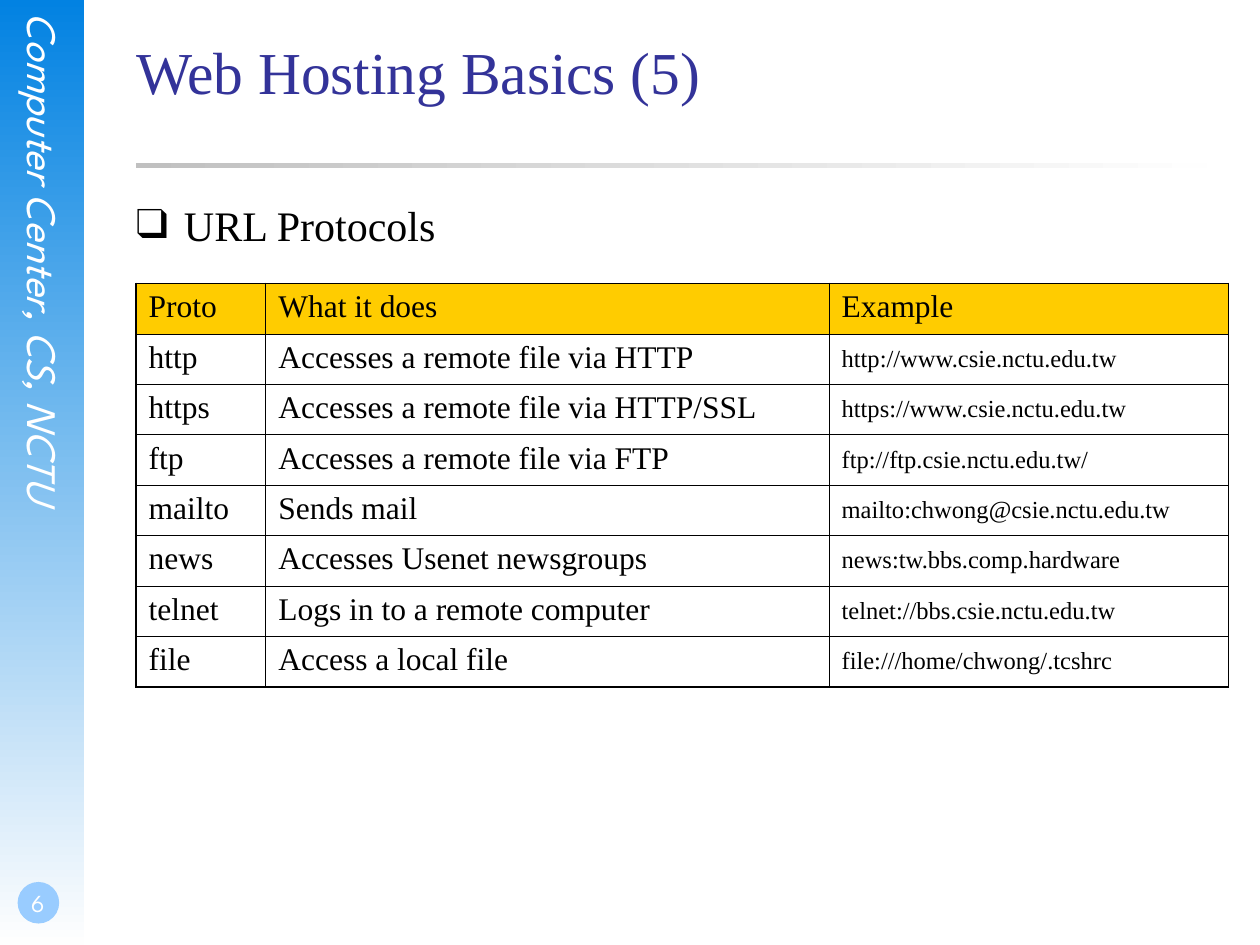
from lxml.etree import SubElement
from pptx import Presentation
from pptx.dml.color import RGBColor
from pptx.enum.shapes import MSO_SHAPE as Shape
from pptx.enum.text import MSO_ANCHOR as Anchor, MSO_AUTO_SIZE as AutoSize, PP_ALIGN as Align
from pptx.oxml.ns import qn
from pptx.util import Inches, Pt

TITLE = "Web Hosting Basics (5)"
BULLET = "URL Protocols"
SIDE_LABEL = "Computer Center, CS, NCTU"
PAGE_NUMBER = "6"
PROTOCOLS = [
    ("Proto", "What it does", "Example"),
    ("http", "Accesses a remote file via HTTP", "http://www.csie.nctu.edu.tw"),
    ("https", "Accesses a remote file via HTTP/SSL", "https://www.csie.nctu.edu.tw"),
    ("ftp", "Accesses a remote file via FTP", "ftp://ftp.csie.nctu.edu.tw/"),
    ("mailto", "Sends mail", "mailto:chwong@csie.nctu.edu.tw"),
    ("news", "Accesses Usenet newsgroups", "news:tw.bbs.comp.hardware"),
    ("telnet", "Logs in to a remote computer", "telnet://bbs.csie.nctu.edu.tw"),
    ("file", "Access a local file", "file:///home/chwong/.tcshrc"),
]
COLUMN_WIDTHS = (1.03, 4.47, 3.17)
ROW_HEIGHT = 0.4
LEFT, CONTENT_WIDTH = 1.08, 8.5
OUTER_LINE, INNER_LINE = 1.08, 0.45
SERIF, SANS = "Times New Roman", "League Spartan"
COLORS = {
    "black": "000000", "white": "FFFFFF", "title": "333399", "header": "FFCC00",
    "badge": "99CCFF", "rail": "0282E2", "fade": "FEFEFE", "rule": "C0C0C0",
}


def rgb(name):
    """Return the named colour."""
    return RGBColor.from_string(COLORS[name])


def write(text_frame, text, size, font_name, color, align=Align.LEFT):
    """Fill a text frame with one formatted paragraph."""
    text_frame.text = text
    paragraph = text_frame.paragraphs[0]
    paragraph.alignment = align
    paragraph.space_before = Pt(0)
    font = paragraph.runs[0].font
    font.size, font.name, font.color.rgb = Pt(size), font_name, rgb(color)
    return paragraph


def set_frame(text_frame, anchor=Anchor.TOP, margins=(0, 0, 0, 0), wrap=True):
    """Set the margins, anchor and wrapping of a text frame."""
    (text_frame.margin_left, text_frame.margin_top,
     text_frame.margin_right, text_frame.margin_bottom) = map(Inches, margins)
    text_frame.vertical_anchor = anchor
    text_frame.word_wrap = wrap
    text_frame.auto_size = AutoSize.NONE if wrap else AutoSize.SHAPE_TO_FIT_TEXT


def place(shape, *box):
    """Move and size a shape in inches."""
    shape.left, shape.top, shape.width, shape.height = map(Inches, box)


def add_plain_shape(slide, kind, box, colors, angle=0):
    """Add an unlined shape with a solid or two-colour gradient fill."""
    shape = slide.shapes.add_shape(kind, *map(Inches, box))
    shape.shadow.inherit = False
    shape.line.fill.background()
    if len(colors) == 1:
        shape.fill.solid()
        shape.fill.fore_color.rgb = rgb(colors[0])
    else:
        shape.fill.gradient()
        shape.fill.gradient_angle = angle
        for stop, position, color in zip(shape.fill.gradient_stops, (0, 1), colors):
            stop.position = position
            stop.color.rgb = rgb(color)


def set_borders(cell, row, column):
    """Draw heavy lines on the table's outline and thin ones inside."""
    outer_sides = {
        "a:lnL": column == 0, "a:lnR": column == len(COLUMN_WIDTHS) - 1,
        "a:lnT": row == 0, "a:lnB": row == len(PROTOCOLS) - 1,
    }
    properties = cell._tc.get_or_add_tcPr()
    for index, (tag, is_outer) in enumerate(outer_sides.items()):
        width = Pt(OUTER_LINE if is_outer else INNER_LINE)
        line = SubElement(properties, qn(tag), w=str(width))
        fill = SubElement(line, qn("a:solidFill"))
        SubElement(fill, qn("a:srgbClr"), val=COLORS["black"])
        properties.insert(index, line)


def add_rail(slide):
    """Add the side rail with its label and page number."""
    add_plain_shape(slide, Shape.RECTANGLE, (0, 0, 0.67, 7.5), ("rail", "fade"), 270)
    label = slide.shapes.add_textbox(*map(Inches, (0.15, 0.1, 0.4, 5.11))).text_frame
    set_frame(label, wrap=False)
    label._txBody.bodyPr.set("vert", "eaVert")
    write(label, SIDE_LABEL, 24, SANS, "white").runs[0].font.italic = True
    add_plain_shape(slide, Shape.OVAL, (0.14, 7, 0.33, 0.33), ("badge",))
    number = slide.shapes.add_textbox(*map(Inches, (0, 6.83, 0.58, 0.5))).text_frame
    set_frame(number, Anchor.BOTTOM, (0.02, 0, 0, 0.05))
    write(number, PAGE_NUMBER, 14, SANS, "white", Align.CENTER)


def add_heading(slide):
    """Fill the title and the bulleted body, with a rule between them."""
    add_plain_shape(slide, Shape.RECTANGLE, (LEFT, 1.29, CONTENT_WIDTH, 0.04), ("fade", "rule"), 180)
    title, body = slide.placeholders
    place(title, LEFT, 0.28, CONTENT_WIDTH, 1.25)
    place(body, LEFT, 1.58, CONTENT_WIDTH, 5.08)
    for placeholder in (title, body):
        set_frame(placeholder.text_frame)
    write(title.text_frame, TITLE, 34, SERIF, "title")
    paragraph = write(body.text_frame, BULLET, 24, SERIF, "black")
    properties = paragraph._p.get_or_add_pPr()
    properties.set("marL", str(Inches(0.38)))
    properties.set("indent", str(Inches(-0.38)))
    bullet_color = SubElement(properties, qn("a:buClr"))
    SubElement(bullet_color, qn("a:srgbClr"), val=COLORS["black"])
    SubElement(properties, qn("a:buFont"), typeface=SERIF)
    SubElement(properties, qn("a:buChar"), char="❑")


def add_protocol_table(slide):
    """Add the table of protocols."""
    size = (sum(COLUMN_WIDTHS), ROW_HEIGHT * len(PROTOCOLS))
    table = slide.shapes.add_table(
        len(PROTOCOLS), len(COLUMN_WIDTHS), *map(Inches, (LEFT, 2.25, *size))).table
    table.first_row = table.horz_banding = False
    for column, width in zip(table.columns, COLUMN_WIDTHS):
        column.width = Inches(width)
    for row, texts in enumerate(PROTOCOLS):
        table.rows[row].height = Inches(ROW_HEIGHT)
        for column, text in enumerate(texts):
            cell = table.cell(row, column)
            is_example = row > 0 and column == 2
            write(cell.text_frame, text, 14 if is_example else 18, SERIF, "black")
            cell.vertical_anchor = Anchor.MIDDLE if is_example else Anchor.TOP
            if row == 0:
                cell.fill.solid()
                cell.fill.fore_color.rgb = rgb("header")
            else:
                cell.fill.background()
            set_borders(cell, row, column)


def main():
    """Build and save the slide."""
    presentation = Presentation()
    presentation.slide_width, presentation.slide_height = Inches(10), Inches(7.5)
    slide = presentation.slides.add_slide(presentation.slide_layouts[1])
    add_rail(slide)
    add_heading(slide)
    add_protocol_table(slide)
    presentation.save("out.pptx")


if __name__ == "__main__":
    main()
